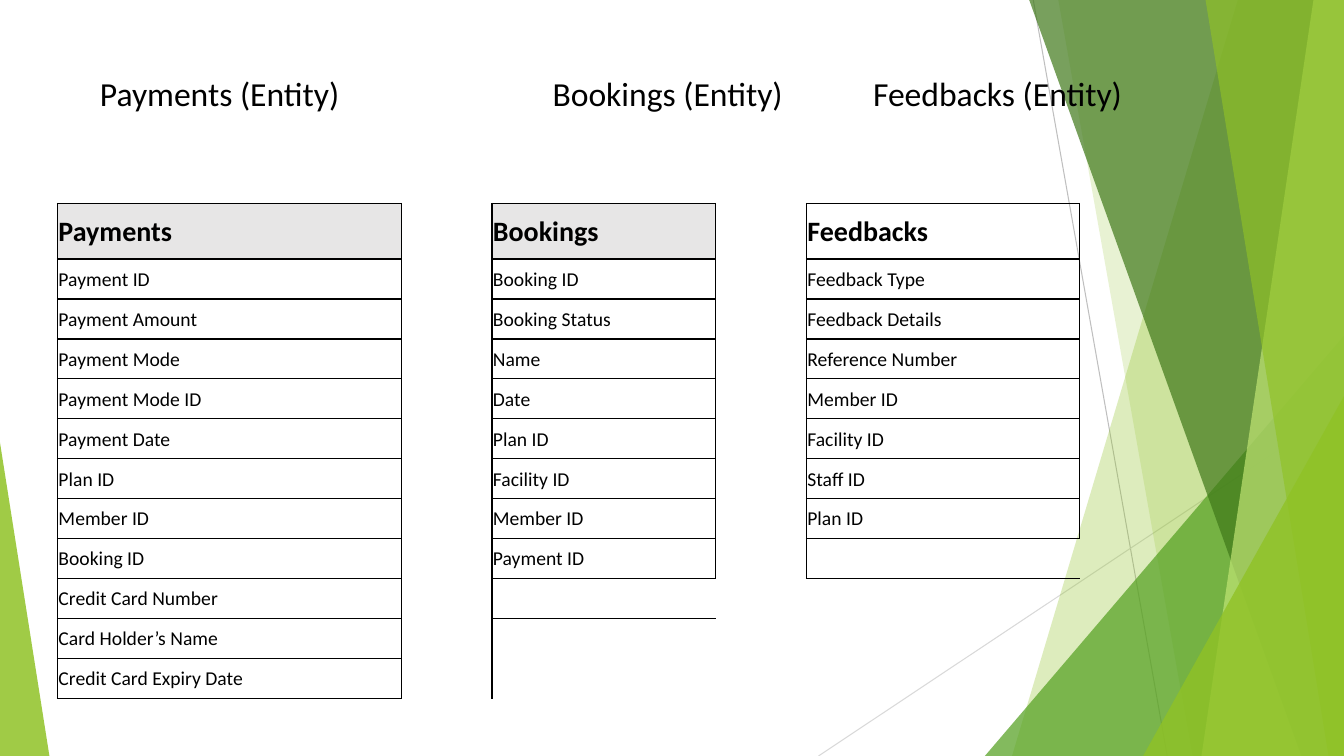
from lxml.etree import SubElement
from pptx import Presentation
from pptx.dml.color import RGBColor
from pptx.enum.shapes import MSO_CONNECTOR, MSO_SHAPE
from pptx.enum.text import MSO_ANCHOR, MSO_AUTO_SIZE, PP_ALIGN
from pptx.oxml.ns import qn
from pptx.util import Inches, Pt

BLACK = RGBColor(0x00, 0x00, 0x00)
HEADER_GRAY = RGBColor(0xE7, 0xE6, 0xE6)
LINE_GRAY = RGBColor(0xBF, 0xBF, 0xBF)
PALE_GRAY = RGBColor(0xD9, 0xD9, 0xD9)
LIME = RGBColor(0x90, 0xC2, 0x26)
PALE_LIME = RGBColor(0xC0, 0xE4, 0x74)
GREEN = RGBColor(0x54, 0xA0, 0x21)
DARK_GREEN = RGBColor(0x3F, 0x78, 0x19)
NO_STYLE_NO_GRID = "{2D5ABB26-0587-4C30-8999-92F81FD0307C}"

PAYMENTS = ["Payments", "Payment ID", "Payment Amount", "Payment Mode",
            "Payment Mode ID", "Payment Date", "Plan ID", "Member ID",
            "Booking ID", "Credit Card Number", "Card Holder’s Name",
            "Credit Card Expiry Date"]
BOOKINGS = ["Bookings", "Booking ID", "Booking Status", "Name", "Date",
            "Plan ID", "Facility ID", "Member ID", "Payment ID"]
FEEDBACKS = ["Feedbacks", "Feedback Type", "Feedback Details",
             "Reference Number", "Member ID", "Facility ID", "Staff ID",
             "Plan ID"]


class EntitySlide:
    """Holds the slide and its style; lengths are percentages of its size."""

    font_name = "Calibri"
    title_size, header_size, body_size = Pt(24), Pt(20), Pt(14)
    border_width = Pt(1)

    def __init__(self, presentation):
        self.width = presentation.slide_width
        self.height = presentation.slide_height
        self.slide = presentation.slides.add_slide(presentation.slide_layouts[5])
        self.shapes = self.slide.shapes

    def x(self, share):
        return round(self.width * share / 100)

    def y(self, share):
        return round(self.height * share / 100)

    def style_font(self, font, size, bold=False):
        font.name, font.size, font.bold = self.font_name, size, bold
        font.color.rgb = BLACK

    def line(self, start, end, color):
        connector = self.shapes.add_connector(
            MSO_CONNECTOR.STRAIGHT, self.x(start[0]), self.y(start[1]),
            self.x(end[0]), self.y(end[1]))
        connector.line.color.rgb = color
        connector.line.width = Pt(0.75)
        SubElement(connector._element.spPr, qn("a:effectLst"))

    def paint(self, shape, color, opacity):
        shape.shadow.inherit = False
        shape.line.fill.background()
        shape.fill.solid()
        shape.fill.fore_color.rgb = color
        color_element = shape._element.spPr.find(qn("a:solidFill"))[0]
        SubElement(color_element, qn("a:alpha"), val=str(opacity * 1000))

    def band(self, top_x, bottom_x, color, opacity):
        """Fill from a slanted left edge to the right side of the slide."""
        builder = self.shapes.build_freeform(self.x(top_x), 0)
        builder.add_line_segments([(self.width, 0), (self.width, self.height),
                                   (self.x(bottom_x), self.height)])
        self.paint(builder.convert_to_shape(), color, opacity)

    def corner(self, left, top, width, apex, color, opacity):
        """Draw a triangle standing on the bottom edge of the slide."""
        triangle = self.shapes.add_shape(
            MSO_SHAPE.ISOSCELES_TRIANGLE, self.x(left), self.y(top),
            self.x(width), self.height - self.y(top))
        triangle.adjustments[0] = apex
        self.paint(triangle, color, opacity)

    def title(self, headings, tab_stops):
        title = self.shapes.title
        title.left, title.top = self.x(5.55), self.y(8.93)
        title.width, title.height = self.x(87), self.y(19.2)
        self.shapes._spTree.append(title._element)
        frame = title.text_frame
        frame.auto_size = MSO_AUTO_SIZE.NONE
        frame.vertical_anchor = MSO_ANCHOR.TOP
        frame.margin_left = self.x(1.88)
        frame.text = "\t".join(headings)
        paragraph = frame.paragraphs[0]
        paragraph.alignment = PP_ALIGN.LEFT
        tab_list = SubElement(paragraph._p.get_or_add_pPr(), qn("a:tabLst"))
        for stop in tab_stops:
            SubElement(tab_list, qn("a:tab"), pos=str(self.x(stop)), algn="l")
        for run in paragraph.runs:
            self.style_font(run.font, self.title_size)

    def border(self, cell, edge):
        line = SubElement(cell._tc.get_or_add_tcPr(), qn(f"a:{edge}"),
                          w=str(self.border_width))
        fill = SubElement(line, qn("a:solidFill"))
        SubElement(fill, qn("a:srgbClr"), val=str(BLACK))

    def table(self, left, top, widths, header_height, row_height, columns,
              shaded_columns):
        row_count = max(map(len, columns))
        frame = self.shapes.add_table(
            row_count, len(columns), self.x(left), self.y(top),
            self.x(sum(widths)),
            self.y(header_height + row_height * (row_count - 1)))
        table = frame.table
        table.first_row = table.horz_banding = False
        table._tbl.tblPr.find(qn("a:tableStyleId")).text = NO_STYLE_NO_GRID
        for column, width in zip(table.columns, widths):
            column.width = self.x(width)
        for index, row in enumerate(table.rows):
            row.height = self.y(row_height if index else header_height)

        def filled(row, column):
            return 0 <= column < len(columns) and 0 <= row < len(columns[column])

        neighbours = {"lnL": (0, -1), "lnR": (0, 1), "lnT": (-1, 0), "lnB": (1, 0)}
        for row in range(row_count):
            for column, entries in enumerate(columns):
                cell = table.cell(row, column)
                cell.margin_left = cell.margin_right = Inches(0.01)
                cell.margin_top, cell.margin_bottom = Inches(0.01), 0
                cell.vertical_anchor = MSO_ANCHOR.MIDDLE
                for edge, (down, across) in neighbours.items():
                    if filled(row, column) or filled(row + down, column + across):
                        self.border(cell, edge)
                if row == 0 and column in shaded_columns:
                    cell.fill.solid()
                    cell.fill.fore_color.rgb = HEADER_GRAY
                else:
                    cell.fill.background()
                paragraph = cell.text_frame.paragraphs[0]
                if filled(row, column):
                    paragraph.text = entries[row]
                    size = self.body_size if row else self.header_size
                    self.style_font(paragraph.runs[0].font, size, row == 0)
                else:
                    paragraph.font.size = self.body_size


def main():
    presentation = Presentation()
    presentation.slide_width, presentation.slide_height = Inches(13.333), Inches(7.5)
    slide = EntitySlide(presentation)

    slide.line((76.88, 0), (86.85, 100), LINE_GRAY)
    slide.line((100, 53.73), (60.9, 100), PALE_GRAY)
    slide.band(92.1, 75.3, LIME, 30)
    slide.band(78.75, 88.73, LIME, 20)
    slide.corner(73.28, 44.4, 26.72, 1, GREEN, 72)
    slide.band(76.58, 96.83, DARK_GREEN, 70)
    slide.band(97.73, 89.4, PALE_LIME, 70)
    slide.band(89.7, 98.85, LIME, 65)
    slide.corner(85.05, 52.4, 14.95, 1, LIME, 80)
    slide.corner(0, 58.53, 3.68, 0, LIME, 85)

    entities = [PAYMENTS, BOOKINGS, FEEDBACKS]
    slide.title([f"{entity[0]} (Entity)" for entity in entities], [33.68, 57.53])
    slide.table(4.28, 26.93, [25.58, 6.75, 16.65, 6.75, 20.33], 7.33, 5.29,
                [PAYMENTS, [], BOOKINGS, [], FEEDBACKS], shaded_columns=(0, 2))
    presentation.save("out.pptx")


if __name__ == "__main__":
    main()
